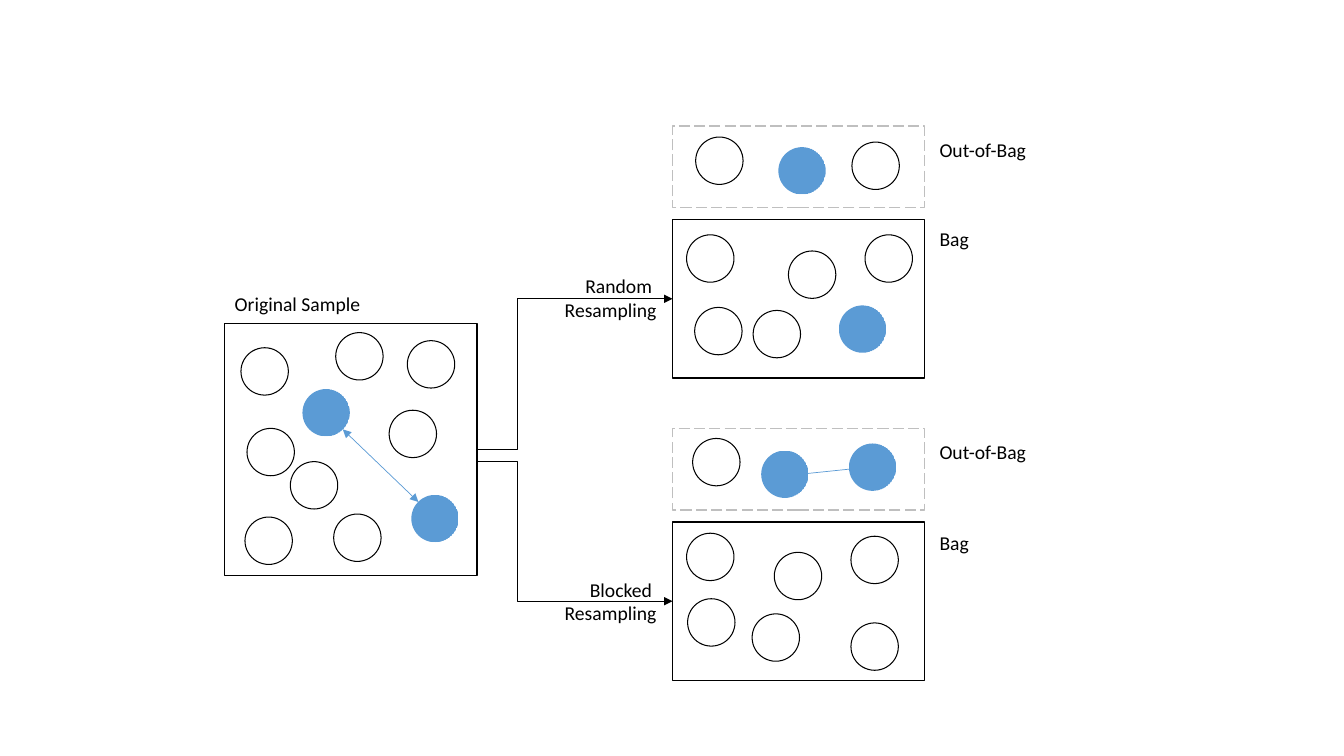
from lxml import etree
from pptx import Presentation
from pptx.dml.color import RGBColor
from pptx.enum.dml import MSO_LINE, MSO_PATTERN
from pptx.enum.shapes import MSO_CONNECTOR, MSO_SHAPE
from pptx.enum.text import MSO_ANCHOR, PP_ALIGN
from pptx.oxml.ns import qn
from pptx.util import Pt

RECT, OVAL = MSO_SHAPE.RECTANGLE, MSO_SHAPE.OVAL
LINE, ELBOW = MSO_CONNECTOR.STRAIGHT, MSO_CONNECTOR.ELBOW
DASH, STRIPE = MSO_LINE.LONG_DASH, MSO_PATTERN.DARK_VERTICAL
LEFT, RIGHT, MIDDLE = PP_ALIGN.LEFT, PP_ALIGN.RIGHT, MSO_ANCHOR.MIDDLE
PX = 9144
BLACK, GRAY, BLUE, WHITE = "000000", "BFBFBF", "5B9BD5", "FFFFFF"
SIZE = 47

deck = Presentation()
deck.slide_width, deck.slide_height = 1333 * PX, 750 * PX
slide = deck.slides.add_slide(deck.slide_layouts[6])
shapes = slide.shapes
color = RGBColor.from_string


def outline(kind, x, y, w, h, tint, width):
    shape = shapes.add_shape(kind, x * PX, y * PX, w * PX, h * PX)
    shape.shadow.inherit = False
    shape.fill.background()
    shape.line.color.rgb = color(tint)
    shape.line.width = Pt(width)
    return shape


def link(kind, x1, y1, x2, y2, tint, head, tail):
    wire = shapes.add_connector(kind, x1 * PX, y1 * PX, x2 * PX, y2 * PX)
    wire.line.color.rgb = color(tint)
    wire.line.width = Pt(0.5)
    for tag, end in (("a:headEnd", head), ("a:tailEnd", tail)):
        etree.SubElement(wire.line._ln, qn(tag), type=end)
    etree.SubElement(wire._element.spPr, qn("a:effectLst"))
    return wire


sample = outline(RECT, 223, 321, 250, 250, BLACK, 1)
bags = []
for top in (125, 425):
    bags.append(outline(RECT, 667, top + 93, 250, 157, BLACK, 1))
    spare = outline(RECT, 667, top, 250, 81, GRAY, 1)
    spare.line.dash_style = DASH

for bag, start, end in zip(bags, (446, 458), (296, 596)):
    arrow = link(ELBOW, 473, start, 667, end, BLACK, "none", "triangle")
    if bag is bags[0]:
        arrow.begin_connect(sample, 3)
    arrow.end_connect(bag, 1)
    bend = arrow._element.spPr.find(qn("a:prstGeom")).get_or_add_avLst()
    etree.SubElement(bend, qn("a:gd"), name="adj1", fmla="val 20800")

labels = [
    (223, 278, 160, LEFT, "Original Sample"),
    (536, 272, 125, RIGHT, "Random \nResampling"),
    (518, 573, 143, RIGHT, "Blocked \nResampling"),
    (922, 125, 120, LEFT, "Out-of-Bag"),
    (922, 213, 120, LEFT, "Bag"),
    (922, 425, 120, LEFT, "Out-of-Bag"),
    (922, 515, 120, LEFT, "Bag"),
]
for x, y, w, align, words in labels:
    frame = shapes.add_textbox(x * PX, y * PX, w * PX, 47 * PX).text_frame
    frame.word_wrap = True
    frame.vertical_anchor = MIDDLE
    frame.text = words
    for para in frame.paragraphs:
        para.alignment = align
        font = para.runs[0].font
        font.name, font.size = "Calibri", Pt(14)
        font.color.rgb = color(BLACK)

plain = [
    (239, 345), (243, 513), (404, 338), (288, 458), (331, 510),
    (386, 407), (333, 330), (245, 425),
    (690, 136), (845, 141),
    (689, 305), (747, 308), (681, 233), (782, 249), (858, 233),
    (687, 435),
    (682, 594), (844, 618), (746, 609), (681, 529), (768, 548), (844, 532),
]
for x, y in plain:
    outline(OVAL, x, y, SIZE, SIZE, BLACK, 0.75)

marked = [
    (300, 386), (408, 491), (772, 146), (832, 303), (755, 447), (842, 440),
]
for x, y in marked:
    dot = outline(OVAL, x, y, SIZE, SIZE, BLUE, 0.75)
    dot.line.fill.background()
    dot.fill.patterned()
    dot.fill.pattern = STRIPE
    dot.fill.fore_color.rgb = color(BLUE)
    dot.fill.back_color.rgb = color(WHITE)

link(LINE, 779, 472, 866, 463, BLUE, "oval", "oval")
link(LINE, 340, 426, 415, 498, BLUE, "triangle", "triangle")

deck.save("out.pptx")
